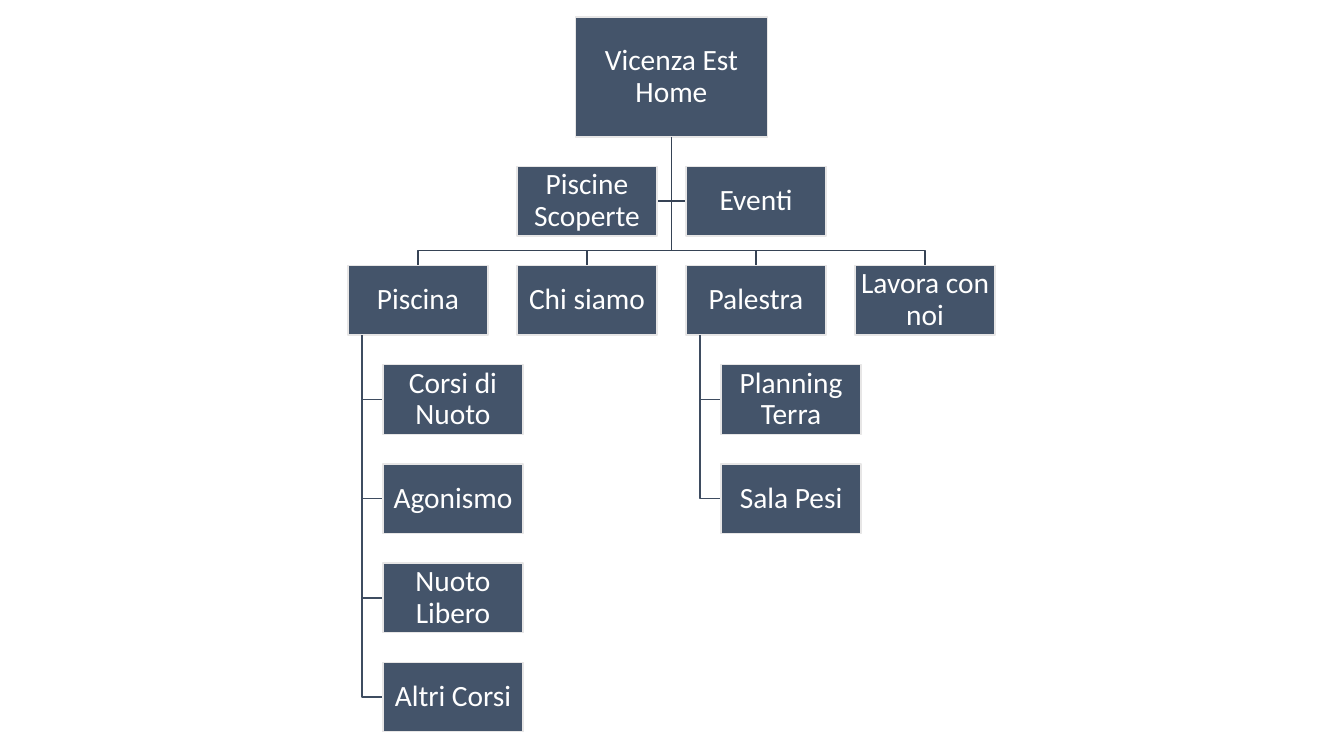
from pptx import Presentation
from pptx.dml.color import RGBColor
from pptx.enum.shapes import MSO_SHAPE
from pptx.enum.text import MSO_ANCHOR, MSO_AUTO_SIZE, PP_ALIGN
from pptx.util import Inches, Pt

# Theme: colours, type and text format
THEME = {
    "box": RGBColor.from_string("44546A"),
    "edge": RGBColor.from_string("E7E6E6"),
    "text": RGBColor.from_string("FFFFFF"),
    "trunk": RGBColor.from_string("364355"),
    "twig": RGBColor.from_string("3E4C60"),
    "line": Pt(1),
}
FONT = {"name": "Calibri", "size": Pt(21), "bold": False}
PARA = {"alignment": PP_ALIGN.CENTER, "line_spacing": 0.9,
        "space_before": Pt(0), "space_after": Pt(7.35)}
INSET = Inches(0.01)
FRAME = {"word_wrap": True, "auto_size": MSO_AUTO_SIZE.NONE,
         "vertical_anchor": MSO_ANCHOR.MIDDLE,
         "margin_left": INSET, "margin_right": INSET,
         "margin_top": INSET, "margin_bottom": INSET}

# Grid, in inches: four columns centred on the trunk, six rows
WIDE, HIGH = 13.33, 7.5
MID = 6.66
BOX_W, BOX_H = 1.39, 0.69
COL, ROW = 5.03 / 3, 4.92 / 5
LEFT = MID - 1.5 * COL - BOX_W / 2
TOP = 1.65
INDENT = BOX_W / 4
ROOT_W, ROOT_H, ROOT_Y = 1.9, 1.19, 0.17
BUS = TOP + ROW - 0.15

# Content
ROOT = "Vicenza Est Home"
ASIDES = {1: "Piscine Scoperte", 2: "Eventi"}
TREE = [
    ("Piscina", ["Corsi di Nuoto", "Agonismo", "Nuoto Libero", "Altri Corsi"]),
    ("Chi siamo", []),
    ("Palestra", ["Planning Terra", "Sala Pesi"]),
    ("Lavora con noi", []),
]


def apply(item, props):
    for name, value in props.items():
        setattr(item, name, value)


def cell(col, row):
    """Left and top of a grid cell."""
    return LEFT + col * COL, TOP + row * ROW


def style(shape, text):
    shape.fill.solid()
    shape.fill.fore_color.rgb = THEME["box"]
    shape.line.color.rgb = THEME["edge"]
    shape.line.width = THEME["line"]
    shape.shadow.inherit = False
    frame = shape.text_frame
    frame.text = text
    apply(frame, FRAME)
    para = frame.paragraphs[0]
    apply(para, PARA)
    font = para.runs[0].font
    apply(font, FONT)
    font.color.rgb = THEME["text"]


def box(slide, text, x, y):
    shape = slide.shapes.add_shape(MSO_SHAPE.RECTANGLE, Inches(x), Inches(y),
                                   Inches(BOX_W), Inches(BOX_H))
    style(shape, text)


def head(slide, text):
    shape = slide.shapes.title
    apply(shape, {"left": Inches(MID - ROOT_W / 2), "top": Inches(ROOT_Y),
                  "width": Inches(ROOT_W), "height": Inches(ROOT_H)})
    style(shape, text)


def link(slide, points, tone):
    start, *rest = [(Inches(x), Inches(y)) for x, y in points]
    pen = slide.shapes.build_freeform(*start)
    pen.add_line_segments(rest, close=False)
    shape = pen.convert_to_shape()
    shape.fill.background()
    shape.line.color.rgb = THEME[tone]
    shape.line.width = THEME["line"]
    shape.shadow.inherit = False


def aside(slide, col, text):
    x, y = cell(col, 0)
    side = x if x > MID else x + BOX_W
    mid = y + BOX_H / 2
    link(slide, [(MID, ROOT_Y + ROOT_H), (MID, mid), (side, mid)], "trunk")
    box(slide, text, x, y)


def branch(slide, col, text, leaves):
    x, y = cell(col, 1)
    mid = x + BOX_W / 2
    link(slide, [(MID, ROOT_Y + ROOT_H), (MID, BUS), (mid, BUS), (mid, y)],
         "trunk")
    box(slide, text, x, y)
    # Leaves hang from a stem near the left edge of the branch
    stem = x + BOX_W / 10
    for row, leaf in enumerate(leaves, 2):
        down = cell(col, row)[1]
        half = down + BOX_H / 2
        link(slide, [(stem, y + BOX_H), (stem, half), (x + INDENT, half)],
             "twig")
        box(slide, leaf, x + INDENT, down)


def main():
    deck = Presentation()
    apply(deck, {"slide_width": Inches(WIDE), "slide_height": Inches(HIGH)})
    slide = deck.slides.add_slide(deck.slide_layouts.get_by_name("Title Only"))
    head(slide, ROOT)
    for col, text in ASIDES.items():
        aside(slide, col, text)
    for col, (text, leaves) in enumerate(TREE):
        branch(slide, col, text, leaves)
    deck.save("out.pptx")


if __name__ == "__main__":
    main()
